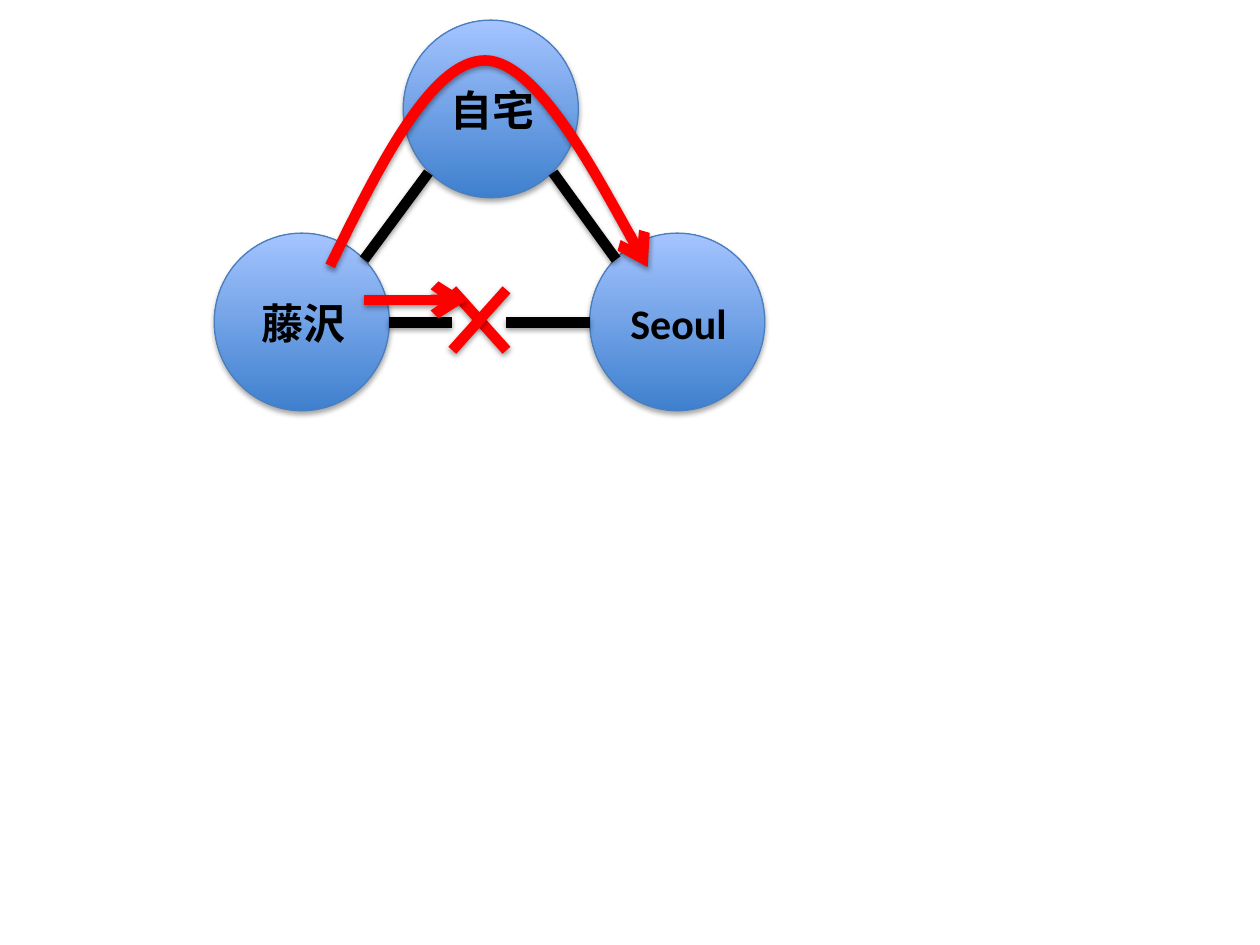
import dataclasses

import lxml.etree
import pptx
import pptx.dml.color
import pptx.enum.dml
import pptx.enum.shapes
import pptx.enum.text
import pptx.oxml
import pptx.oxml.ns
import pptx.util
from pptx.util import Inches

BLACK, RED = "000000", "FF0000"
NODE_WIDTH, NODE_HEIGHT = 1.39, 1.41
LINK_WIDTH = 6


@dataclasses.dataclass
class Node:
    label: str
    left: float
    top: float


@dataclasses.dataclass
class Link:
    start: tuple[float, float]
    end: tuple[float, float]
    color: str = BLACK
    arrow: bool = False


NODES = [Node("自宅", 3.2, 0.16), Node("藤沢", 1.7, 1.85), Node("Seoul", 4.68, 1.85)]

LINKS = [
    Link((2.89, 2.06), (3.4, 1.37)),
    Link((3.09, 2.56), (3.59, 2.56)),
    Link((4.89, 2.06), (4.39, 1.37)),
    # Cross over the broken link
    Link((3.59, 2.3), (4.02, 2.78), RED),
    Link((3.59, 2.78), (4.02, 2.3), RED),
    Link((4.02, 2.56), (4.68, 2.56)),
]
BLOCKED_ROUTE = Link((2.89, 2.38), (3.71, 2.38), RED, arrow=True)

# Start point, then two control points and an end point for each curve
DETOUR = [(2.62, 2.11), (3.02, 1.29), (3.43, 0.48), (3.85, 0.48),
          (4.27, 0.48), (5.14, 2.12), (5.14, 2.12)]


def rgb(color: str) -> pptx.dml.color.RGBColor:
    return pptx.dml.color.RGBColor.from_string(color)


def add_shadow(shape, opacity: int, distance: float) -> None:
    """Give a shape whose line is already set a soft shadow straight below."""
    shape._element.spPr.append(pptx.oxml.parse_xml(
        f'<a:effectLst {pptx.oxml.ns.nsdecls("a")}>'
        f'<a:outerShdw blurRad="{pptx.util.Pt(3.1)}" dist="{pptx.util.Pt(distance)}" '
        f'dir="5400000" rotWithShape="0"><a:srgbClr val="{BLACK}">'
        f'<a:alpha val="{opacity * 1000}"/></a:srgbClr></a:outerShdw></a:effectLst>'))


def style_link(shape, color: str, arrow: bool) -> None:
    shape.line.color.rgb = rgb(color)
    shape.line.width = pptx.util.Pt(LINK_WIDTH)
    if arrow:
        line = shape.line._get_or_add_ln()
        lxml.etree.SubElement(line, pptx.oxml.ns.qn("a:tailEnd"), type="arrow")
    add_shadow(shape, 38, 1.6)


def add_node(slide, node: Node) -> None:
    circle = slide.shapes.add_shape(
        pptx.enum.shapes.MSO_SHAPE.OVAL, Inches(node.left), Inches(node.top),
        Inches(NODE_WIDTH), Inches(NODE_HEIGHT))
    circle.fill.gradient()
    circle.fill.gradient_angle = 90
    for stop, position, color in zip(circle.fill.gradient_stops, (0, 1), ("3F80CE", "A4C4FF")):
        stop.position = position
        stop.color.rgb = rgb(color)
    circle.line.color.rgb = rgb("4B7EBC")
    circle.line.width = pptx.util.Pt(0.75)
    add_shadow(circle, 35, 1.8)

    label = slide.shapes.add_textbox(
        Inches(node.left + 0.03), Inches(node.top + 0.46), Inches(1.35), Inches(0.5))
    frame = label.text_frame
    frame.word_wrap = True
    frame.auto_size = pptx.enum.text.MSO_AUTO_SIZE.SHAPE_TO_FIT_TEXT
    paragraph = frame.paragraphs[0]
    paragraph.text = node.label
    paragraph.alignment = pptx.enum.text.PP_ALIGN.CENTER
    paragraph.font.name = "Calibri"
    paragraph.font.size = pptx.util.Pt(24)
    paragraph.font.bold = True
    paragraph.font.color.rgb = rgb(BLACK)


def add_link(slide, link: Link) -> None:
    connector = slide.shapes.add_connector(
        pptx.enum.shapes.MSO_CONNECTOR.STRAIGHT,
        *(Inches(value) for value in link.start + link.end))
    style_link(connector, link.color, link.arrow)


def add_curve(slide, points: list[tuple[float, float]], color: str) -> None:
    start, *rest = [(Inches(x), Inches(y)) for x, y in points]
    builder = slide.shapes.build_freeform(*start)
    builder.add_line_segments(rest, close=False)
    curve = builder.convert_to_shape()
    # Turn every three straight segments into one cubic curve
    segments = list(curve._element.iter(pptx.oxml.ns.qn("a:lnTo")))
    for first in range(0, len(segments), 3):
        group = segments[first:first + 3]
        outline = group[0].getparent()
        cubic = lxml.etree.SubElement(outline, pptx.oxml.ns.qn("a:cubicBezTo"))
        for segment in group:
            cubic.append(segment[0])
            outline.remove(segment)
    curve.fill.background()
    style_link(curve, color, arrow=True)


def main() -> None:
    presentation = pptx.Presentation()
    presentation.slide_width = Inches(10)
    presentation.slide_height = Inches(7.5)
    slide = presentation.slides.add_slide(presentation.slide_layouts[6])

    # Places
    for node in NODES:
        add_node(slide, node)
    # Links between the places
    for link in LINKS:
        add_link(slide, link)
    # Routes: the detour and the blocked direct way
    add_curve(slide, DETOUR, RED)
    add_link(slide, BLOCKED_ROUTE)

    presentation.save("out.pptx")


if __name__ == "__main__":
    main()
